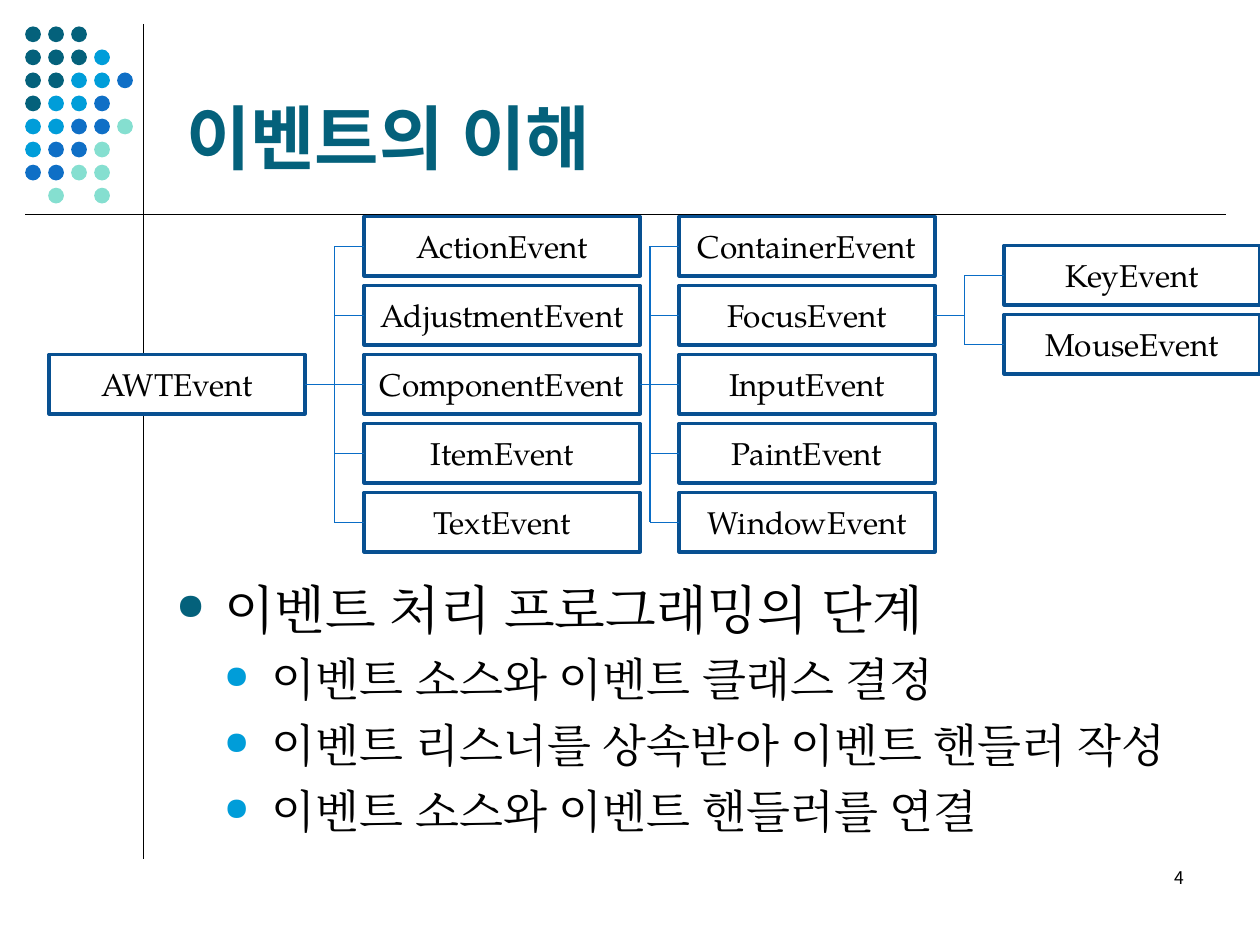
from dataclasses import dataclass

from lxml.etree import SubElement
from pptx import Presentation
from pptx.dml.color import RGBColor
from pptx.enum.shapes import MSO_CONNECTOR, MSO_SHAPE
from pptx.enum.text import MSO_ANCHOR, PP_ALIGN
from pptx.oxml.ns import qn
from pptx.util import Inches, Pt

WIDTH, HEIGHT = Inches(10), Inches(7.5)


@dataclass(frozen=True)
class Theme:
    teal: str = "04617B"
    sky: str = "009DD9"
    blue: str = "0F6FC6"
    mint: str = "85DFD0"
    black: str = "000000"
    white: str = "FFFFFF"
    box_edge: str = "085091"
    branch: str = "0A6DC6"
    heading_font: str = "Noto Sans"
    text_font: str = "TeX Gyre Pagella"
    number_font: str = "Noto Sans CJK KR"
    title_size: int = 40
    topic_size: int = 30
    step_size: int = 26
    box_size: int = 18
    number_size: int = 10


THEME = Theme()
DOT_COLORS = {"T": THEME.teal, "S": THEME.sky, "B": THEME.blue, "M": THEME.mint}
DOT_ROWS = ["TTT", "TTTS", "TTSSB", "TSSB", "SSBBM", "SBBM", "BBMM", " M M"]

BOX_COLUMNS = [(3.9, 20.3), (28.9, 21.9), (53.9, 20.3), (79.7, 20.3)]
FIRST_BOX, LAST_BOX, BOX_HEIGHT = 22.93, 52.13, 6.27
COMPONENT_EVENTS = [
    "ActionEvent", "AdjustmentEvent", "ComponentEvent", "ItemEvent", "TextEvent",
]
WINDOW_EVENTS = [
    "ContainerEvent", "FocusEvent", "InputEvent", "PaintEvent", "WindowEvent",
]
INPUT_EVENTS = ["KeyEvent", "MouseEvent"]

TOPIC = "이벤트 처리 프로그래밍의 단계"
STEPS = [
    "이벤트 소스와 이벤트 클래스 결정",
    "이벤트 리스너를 상속받아 이벤트 핸들러 작성",
    "이벤트 소스와 이벤트 핸들러를 연결",
]


def across(percent):
    return round(WIDTH * percent / 100)


def down(percent):
    return round(HEIGHT * percent / 100)


def area(left, top, width, height):
    return across(left), down(top), across(width), down(height)


def color(value):
    return RGBColor.from_string(value)


def write(paragraph, text, font_name, size, font_color, bold=False):
    paragraph.text = text
    font = paragraph.font
    font.name, font.size, font.bold = font_name, Pt(size), bold
    font.color.rgb = color(font_color)
    properties = paragraph._p.pPr.find(qn("a:defRPr"))
    SubElement(properties, qn("a:ea"), typeface=font_name)


def add_text(slide, place, anchor=MSO_ANCHOR.TOP):
    frame = slide.shapes.add_textbox(*place).text_frame
    frame.word_wrap = True
    frame.vertical_anchor = anchor
    return frame


def add_bullet(paragraph, text, level, size, bullet_color):
    paragraph.level = level
    if level:
        paragraph.space_before = Pt(6.5)
    properties = paragraph._p.get_or_add_pPr()
    indent = Inches(0.38)
    properties.set("marL", str(indent * (level + 1)))
    properties.set("indent", str(-indent))
    bullet = SubElement(properties, qn("a:buClr"))
    SubElement(bullet, qn("a:srgbClr"), val=bullet_color)
    SubElement(properties, qn("a:buSzPct"), val="70000")
    SubElement(properties, qn("a:buChar"), char="●")
    write(paragraph, text, THEME.text_font, size, THEME.black)


def add_line(slide, start, end, line_color):
    connector = slide.shapes.add_connector(MSO_CONNECTOR.STRAIGHT, *start, *end)
    connector.line.color.rgb = color(line_color)
    connector.line.width = Pt(0.75)
    SubElement(connector._element.spPr, qn("a:effectLst"))
    return connector


def add_filled(slide, kind, place, fill_color):
    shape = slide.shapes.add_shape(kind, *place)
    shape.shadow.inherit = False
    shape.fill.solid()
    shape.fill.fore_color.rgb = color(fill_color)
    return shape


def add_dots(slide):
    for row, letters in enumerate(DOT_ROWS):
        for column, letter in enumerate(letters):
            if letter in DOT_COLORS:
                place = area(2 + 7.3 * column / 4, 2.8 + 17.07 * row / 7, 1.25, 1.67)
                dot = add_filled(slide, MSO_SHAPE.OVAL, place, DOT_COLORS[letter])
                dot.line.fill.background()


def add_box(slide, text, column, row):
    left, width = BOX_COLUMNS[column]
    top = FIRST_BOX + (LAST_BOX - FIRST_BOX) * row / 4
    place = area(left, top, width, BOX_HEIGHT)
    box = add_filled(slide, MSO_SHAPE.RECTANGLE, place, THEME.white)
    box.line.color.rgb = color(THEME.box_edge)
    box.line.width = Pt(2)
    frame = box.text_frame
    frame.word_wrap = True
    frame.vertical_anchor = MSO_ANCHOR.MIDDLE
    paragraph = frame.paragraphs[0]
    paragraph.alignment = PP_ALIGN.CENTER
    write(paragraph, text, THEME.text_font, THEME.box_size, THEME.black)
    return box


def add_box_column(slide, names, column, first_row=0):
    return [add_box(slide, name, column, first_row + i) for i, name in enumerate(names)]


def middle(box):
    return box.top + box.height // 2


def add_branches(slide, parent, children, trunk):
    trunk = across(trunk)
    parent_right = parent.left + parent.width
    level_child = None
    for child in children:
        is_level = middle(child) == middle(parent)
        end = parent_right if is_level else trunk
        line = add_line(
            slide, (child.left, middle(child)), (end, middle(child)), THEME.branch
        )
        line.begin_connect(child, 1)
        if is_level:
            line.end_connect(parent, 3)
            level_child = child
    if level_child is None:
        start, end = (parent_right, middle(parent)), (trunk, middle(parent))
        add_line(slide, start, end, THEME.branch).begin_connect(parent, 3)
    top, bottom = middle(children[0]), middle(children[-1])
    add_line(slide, (trunk, top), (trunk, bottom), THEME.branch)


def add_event_tree(slide):
    root = add_box(slide, "AWTEvent", 0, 2)
    components = add_box_column(slide, COMPONENT_EVENTS, 1)
    windows = add_box_column(slide, WINDOW_EVENTS, 2)
    inputs = add_box_column(slide, INPUT_EVENTS, 3, 0.42)
    add_branches(slide, root, components, 26.55)
    add_branches(slide, windows[1], inputs, 76.55)
    add_branches(slide, components[2], windows, 51.6)


def add_steps(slide):
    frame = add_text(slide, area(13, 60.4, 82, 28.93))
    add_bullet(frame.paragraphs[0], TOPIC, 0, THEME.topic_size, THEME.teal)
    for step in STEPS:
        add_bullet(frame.add_paragraph(), step, 1, THEME.step_size, THEME.sky)


def main():
    presentation = Presentation()
    presentation.slide_width, presentation.slide_height = WIDTH, HEIGHT
    slide = presentation.slides.add_slide(presentation.slide_layouts[6])

    add_line(slide, area(11.4, 2.53, 0, 0)[:2], (across(11.4), down(90.93)), THEME.black)
    add_dots(slide)
    add_line(slide, (across(2), down(22.67)), (across(97.3), down(22.67)), THEME.black)

    title = add_text(slide, area(13.8, 2.8, 82.5, 16.8), MSO_ANCHOR.BOTTOM)
    write(title.paragraphs[0], "이벤트의 이해", THEME.heading_font,
          THEME.title_size, THEME.teal, bold=True)
    add_steps(slide)
    number = add_text(slide, area(71.7, 91.07, 23.3, 6.67)).paragraphs[0]
    number.alignment = PP_ALIGN.RIGHT
    write(number, "4", THEME.number_font, THEME.number_size, THEME.black)
    add_event_tree(slide)

    presentation.save("out.pptx")


if __name__ == "__main__":
    main()
